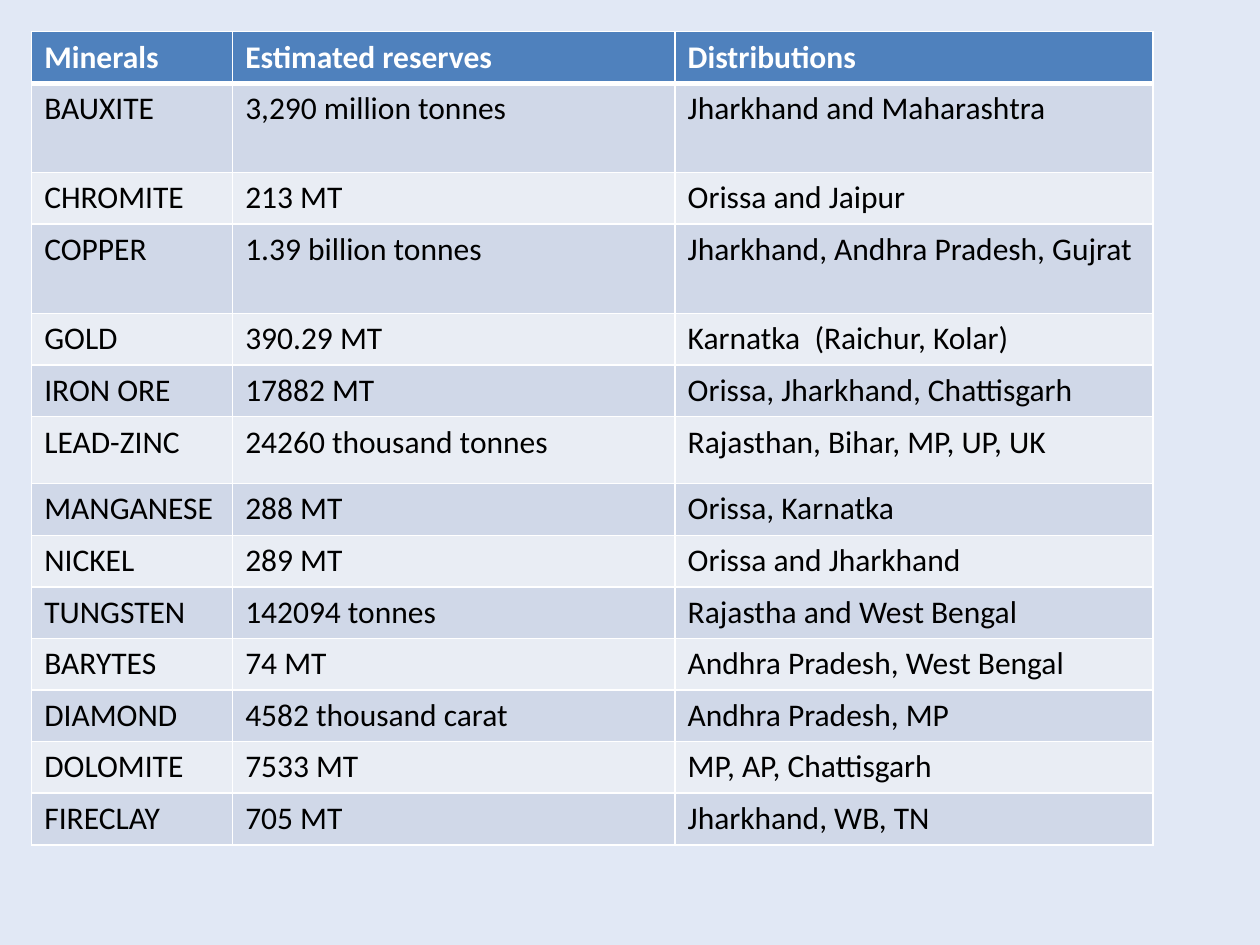
import pptx
import pptx.util
import pptx.dml.color
import pptx.oxml

Cm = pptx.util.Cm
Pt = pptx.util.Pt
RGB = pptx.dml.color.RGBColor

BACK = RGB(0xE1, 0xE8, 0xF5)
HEAD = RGB(0x4F, 0x81, 0xBD)
DARK = RGB(0xD0, 0xD8, 0xE8)
LIGHT = RGB(0xE9, 0xED, 0xF4)
WHITE = RGB(0xFF, 0xFF, 0xFF)
BLACK = RGB(0x00, 0x00, 0x00)

NS = "http://schemas.openxmlformats.org/drawingml/2006/main"

TITLES = ("Minerals", "Estimated reserves", "Distributions")
MINES = [
    ("BAUXITE", "3,290 million tonnes", "Jharkhand and Maharashtra"),
    ("CHROMITE", "213 MT", "Orissa and Jaipur"),
    ("COPPER", "1.39 billion tonnes", "Jharkhand, Andhra Pradesh, Gujrat"),
    ("GOLD", "390.29 MT", "Karnatka  (Raichur, Kolar)"),
    ("IRON ORE", "17882 MT", "Orissa, Jharkhand, Chattisgarh"),
    ("LEAD-ZINC", "24260 thousand tonnes", "Rajasthan, Bihar, MP, UP, UK"),
    ("MANGANESE", "288 MT", "Orissa, Karnatka"),
    ("NICKEL", "289 MT", "Orissa and Jharkhand"),
    ("TUNGSTEN", "142094 tonnes", "Rajastha and West Bengal"),
    ("BARYTES", "74 MT", "Andhra Pradesh, West Bengal"),
    ("DIAMOND", "4582 thousand carat", "Andhra Pradesh, MP"),
    ("DOLOMITE", "7533 MT", "MP, AP, Chattisgarh"),
    ("FIRECLAY", "705 MT", "Jharkhand, WB, TN"),
]
WIDTHS = (4.05, 8.92, 9.63)
BASE = 1.04
TALL = {"BAUXITE": 1.8, "COPPER": 1.8, "LEAD-ZINC": 1.35}


class Deck:
    font = "Calibri"
    size = Pt(18)

    def __init__(self, slide):
        self.slide = slide

    def back(self, color):
        fill = self.slide.background.fill
        fill.solid()
        fill.fore_color.rgb = color

    def table(self, left, top, widths, heights, rows):
        grid = self.slide.shapes.add_table(
            len(rows), len(widths), Cm(left), Cm(top),
            Cm(sum(widths)), Cm(sum(heights))).table
        for col, width in zip(grid.columns, widths):
            col.width = Cm(width)
        for i, (row, height, texts) in enumerate(zip(grid.rows, heights, rows)):
            row.height = Cm(height)
            for cell, text in zip(row.cells, texts):
                self.cell(cell, text, i)

    def cell(self, cell, text, i):
        first = i == 0
        cell.fill.solid()
        cell.fill.fore_color.rgb = HEAD if first else DARK if i % 2 else LIGHT
        cell.text_frame.text = text
        font = cell.text_frame.paragraphs[0].runs[0].font
        font.name = self.font
        font.size = self.size
        font.bold = first
        font.color.rgb = WHITE if first else BLACK
        self.edge(cell, top=3 if i == 1 else 1, base=3 if first else 1)

    def edge(self, cell, top, base):
        props = cell._tc.get_or_add_tcPr()
        sides = (("lnL", 1), ("lnR", 1), ("lnT", top), ("lnB", base))
        for n, (side, width) in enumerate(sides):
            props.insert(n, pptx.oxml.parse_xml(
                f'<a:{side} xmlns:a="{NS}" w="{Pt(width)}"><a:solidFill>'
                f'<a:srgbClr val="{WHITE}"/></a:solidFill></a:{side}>'))


def main():
    show = pptx.Presentation()
    show.slide_width = Cm(25.4)
    show.slide_height = Cm(19.05)
    deck = Deck(show.slides.add_slide(show.slide_layouts[6]))
    deck.back(BACK)
    rows = [TITLES] + MINES
    heights = [TALL.get(row[0], BASE) for row in rows]
    deck.table(0.64, 0.64, WIDTHS, heights, rows)
    show.save("out.pptx")


if __name__ == "__main__":
    main()
